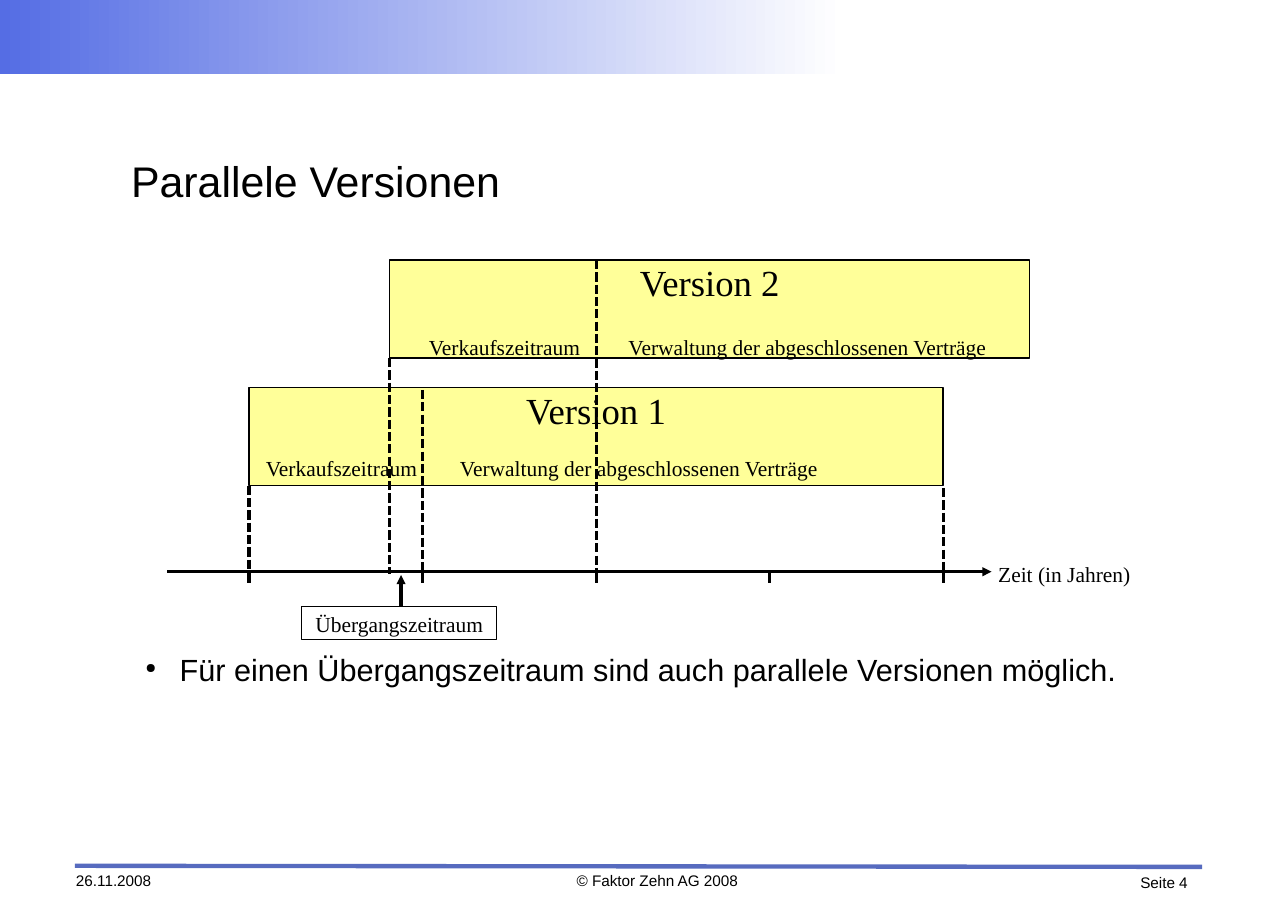
from lxml import etree
from pptx import Presentation
from pptx.dml.color import RGBColor
from pptx.enum.dml import MSO_LINE
from pptx.enum.shapes import MSO_CONNECTOR, MSO_SHAPE
from pptx.enum.text import MSO_ANCHOR, PP_ALIGN
from pptx.oxml.ns import qn
from pptx.util import Inches, Pt

BLACK = RGBColor(0, 0, 0)
WHITE = RGBColor(255, 255, 255)
YELLOW = RGBColor(0xFF, 0xFF, 0x99)
BAND_BLUE = RGBColor(0x55, 0x6D, 0xE4)
RULE_BLUE = RGBColor(0x57, 0x6B, 0xBF)
LEFT, CENTER, RIGHT = PP_ALIGN.LEFT, PP_ALIGN.CENTER, PP_ALIGN.RIGHT
TOP, MIDDLE = MSO_ANCHOR.TOP, MSO_ANCHOR.MIDDLE
RECT, STRAIGHT = MSO_SHAPE.RECTANGLE, MSO_CONNECTOR.STRAIGHT
DASH = MSO_LINE.SQUARE_DOT
SANS, SERIF = "Arial", "Times New Roman"

WIDTH, HEIGHT = 11.69, 8.27
YEAR_ZERO, YEAR = 2.26, 1.575
AXIS_Y, TICK = 5.19, 0.1
BOX_HEIGHT = 0.89

TITLE = "Parallele Versionen"
BULLET = "Für einen Übergangszeitraum sind auch parallele Versionen möglich."
AXIS_LABEL = "Zeit (in Jahren)"
TRANSITION = "Übergangszeitraum"
SALES = ("Verkaufszeitraum", 1.48)
ADMIN = ("Verwaltung der abgeschlossenen Verträge", 3.84)
FOOTER = [
    ("26.11.2008", 0.69, 7.91, 1.17, LEFT),
    ("© Faktor Zehn AG 2008", 5.16, 7.91, 1.61, CENTER),
    ("Seite 4", 10, 7.93, 0.78, RIGHT),
]
VERSIONS = [
    ("Version 1", 0, 4, 3.52, 4.13, (2.36, 3.88)),
    ("Version 2", 0.81, 4.5, 2.36, 3.03, (3.84, 5.41)),
]
DASHED = [(0, 4.41), (0.81, 3.25), (1, 3.54), (2, 2.36), (4, 4.43)]

prs = Presentation()
prs.slide_width, prs.slide_height = Inches(WIDTH), Inches(HEIGHT)
s = prs.slides.add_slide(prs.slide_layouts[6])


def year_x(year):
    return YEAR_ZERO + YEAR * year


def write(sp, text, size, font=SERIF, align=LEFT, anchor=TOP, wrap=True):
    tf = sp.text_frame
    frame = dict(margin_left=0, margin_top=0, margin_right=0, margin_bottom=0,
                 word_wrap=wrap, vertical_anchor=anchor)
    for name, value in frame.items():
        setattr(tf, name, value)
    p = tf.paragraphs[0]
    p.alignment = align
    r = p.add_run()
    r.text = text
    for name, value in dict(name=font, size=Pt(size)).items():
        setattr(r.font, name, value)
    r.font.color.rgb = BLACK
    return p


def label(text, x, y, w, h, size, **style):
    sp = s.shapes.add_textbox(*map(Inches, (x, y, w, h)))
    return write(sp, text, size, **style)


def box(x, y, w, h, fill=None):
    sp = s.shapes.add_shape(RECT, *map(Inches, (x, y, w, h)))
    sp.shadow.inherit = False
    if fill is None:
        sp.fill.background()
    else:
        sp.fill.solid()
        sp.fill.fore_color.rgb = fill
    sp.line.color.rgb = BLACK
    sp.line.width = Pt(0)
    return sp


def line(x1, y1, x2, y2, color=BLACK, width=0, dash=None, arrow=False):
    c = s.shapes.add_connector(STRAIGHT, *map(Inches, (x1, y1, x2, y2)))
    c.line.color.rgb = color
    c.line.width = Pt(width)
    if dash is not None:
        c.line.dash_style = dash
    if arrow:
        etree.SubElement(c.line._get_or_add_ln(), qn("a:tailEnd"), type="triangle")
    etree.SubElement(c._element.spPr, qn("a:effectLst"))


band = box(0, 0, 7.67, 0.67)
band.line.fill.background()
band.fill.gradient()
band.fill.gradient_angle = 0
for stop, color in zip(band.fill.gradient_stops, (BAND_BLUE, WHITE)):
    stop.color.rgb = color

line(0.68, 7.86, 10.91, 7.87, color=RULE_BLUE, width=2.83)
for text, x, y, w, align in FOOTER:
    label(text, x, y, w, 0.2, 10, font=SANS, align=align, wrap=False)

label(TITLE, 1.19, 0.95, 9.31, 1.37, 28, font=SANS, anchor=MIDDLE)

p = label(BULLET, 0.69, 5.91, 10.24, 1.14, 20, font=SANS)
pPr = p._p.get_or_add_pPr()
pPr.set("marL", str(Inches(0.94)))
pPr.set("indent", str(Inches(-0.31)))
etree.SubElement(pPr, qn("a:buSzPct"), val="45000")
etree.SubElement(pPr, qn("a:buChar"), char="●")

line(1.52, AXIS_Y, 9, AXIS_Y, arrow=True)
label(AXIS_LABEL, 9.06, 5.09, 1.38, 0.22, 14)
for year in range(5):
    line(year_x(year), AXIS_Y, year_x(year), AXIS_Y + TICK)

for name, start, end, y, label_y, label_xs in VERSIONS:
    sp = box(year_x(start), y, YEAR * (end - start), BOX_HEIGHT, YELLOW)
    write(sp, name, 24, align=CENTER)
    for (text, w), x in zip((SALES, ADMIN), label_xs):
        label(text, x, label_y, w, 0.22, 14, align=CENTER)

for year, y in DASHED:
    line(year_x(year), y, year_x(year), AXIS_Y + 0.02, dash=DASH)

sp = box(2.74, 5.51, 1.77, 0.3)
write(sp, TRANSITION, 14, align=CENTER, anchor=MIDDLE)
line(3.64, 5.51, 3.64, 5.22, arrow=True)

prs.save("out.pptx")
